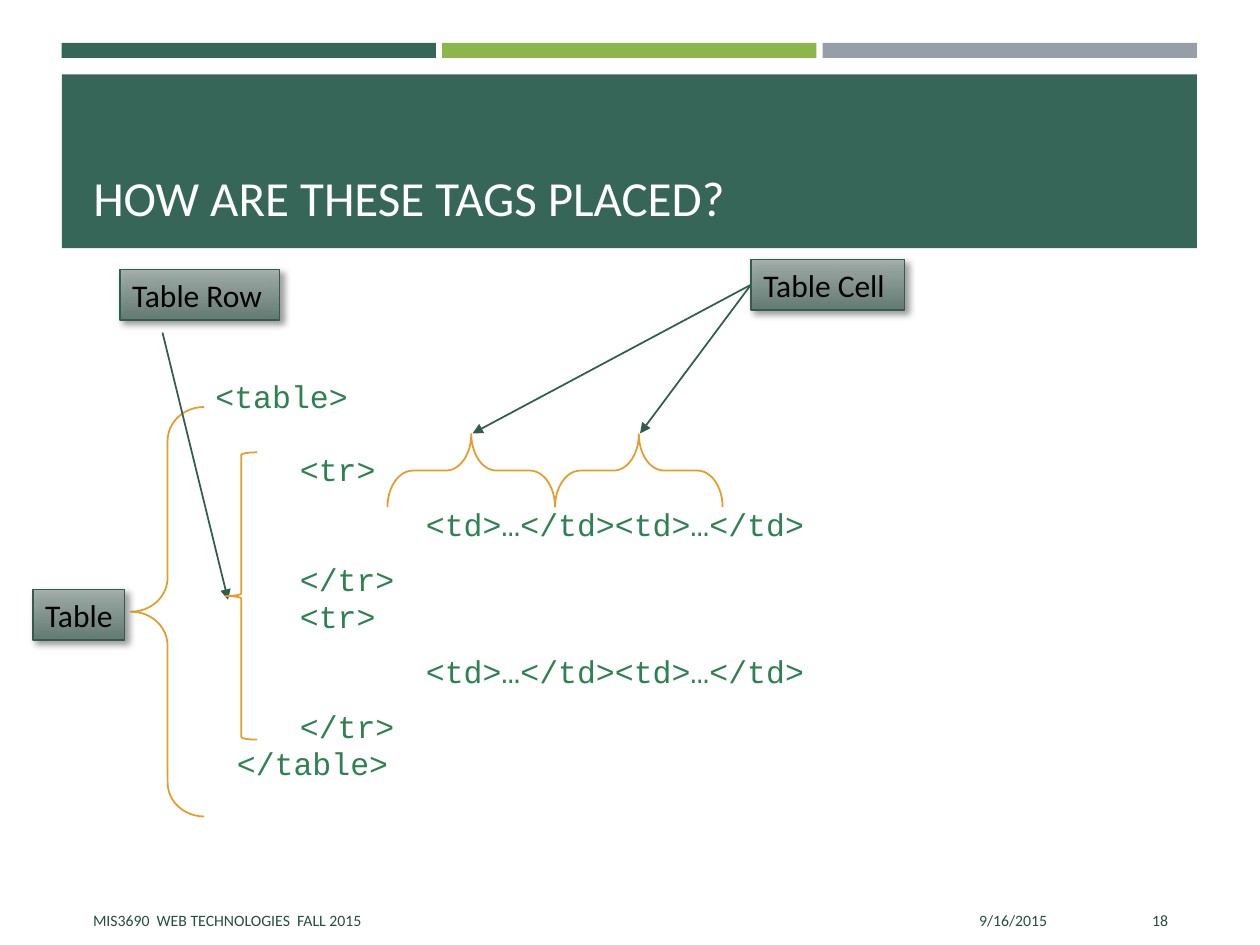
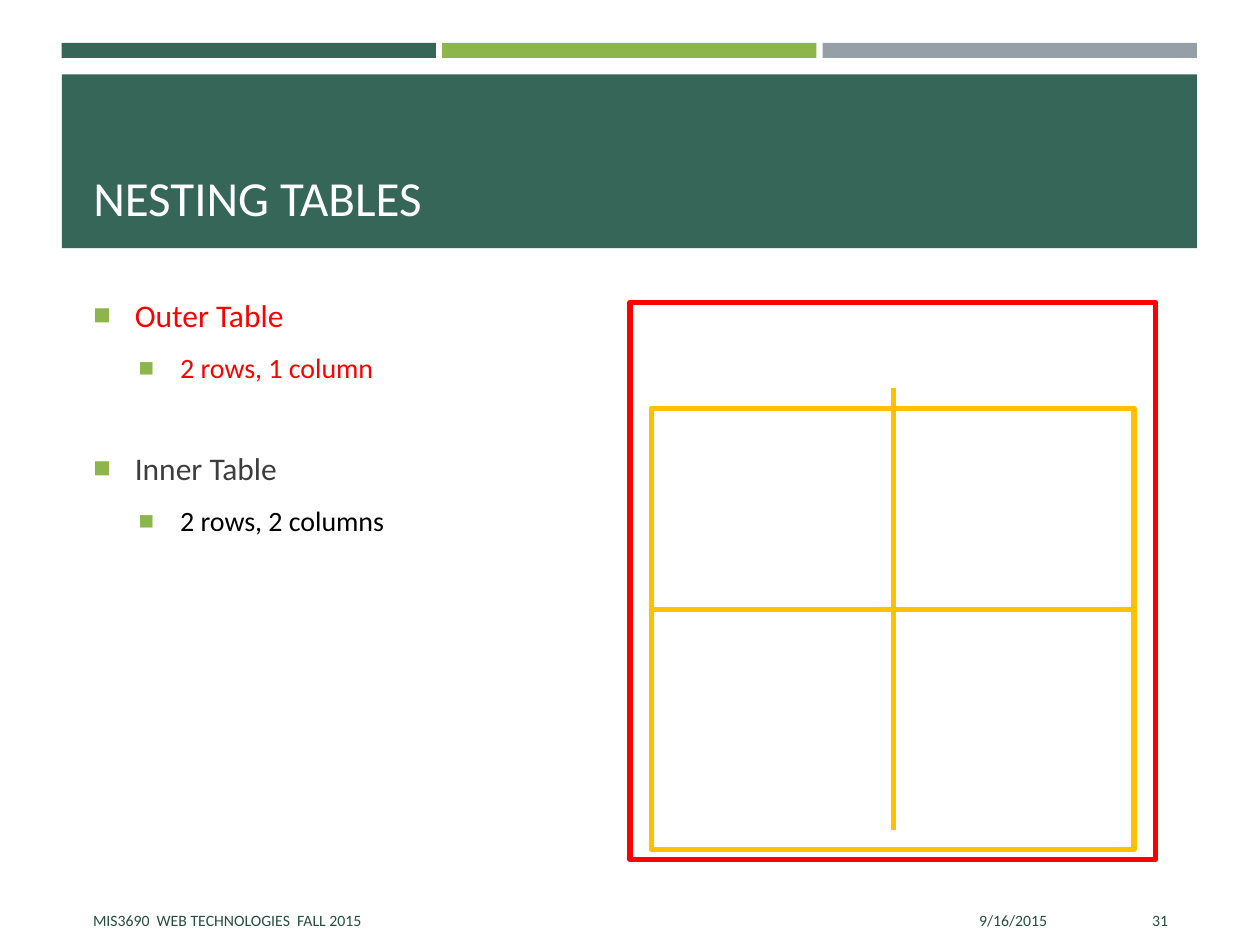
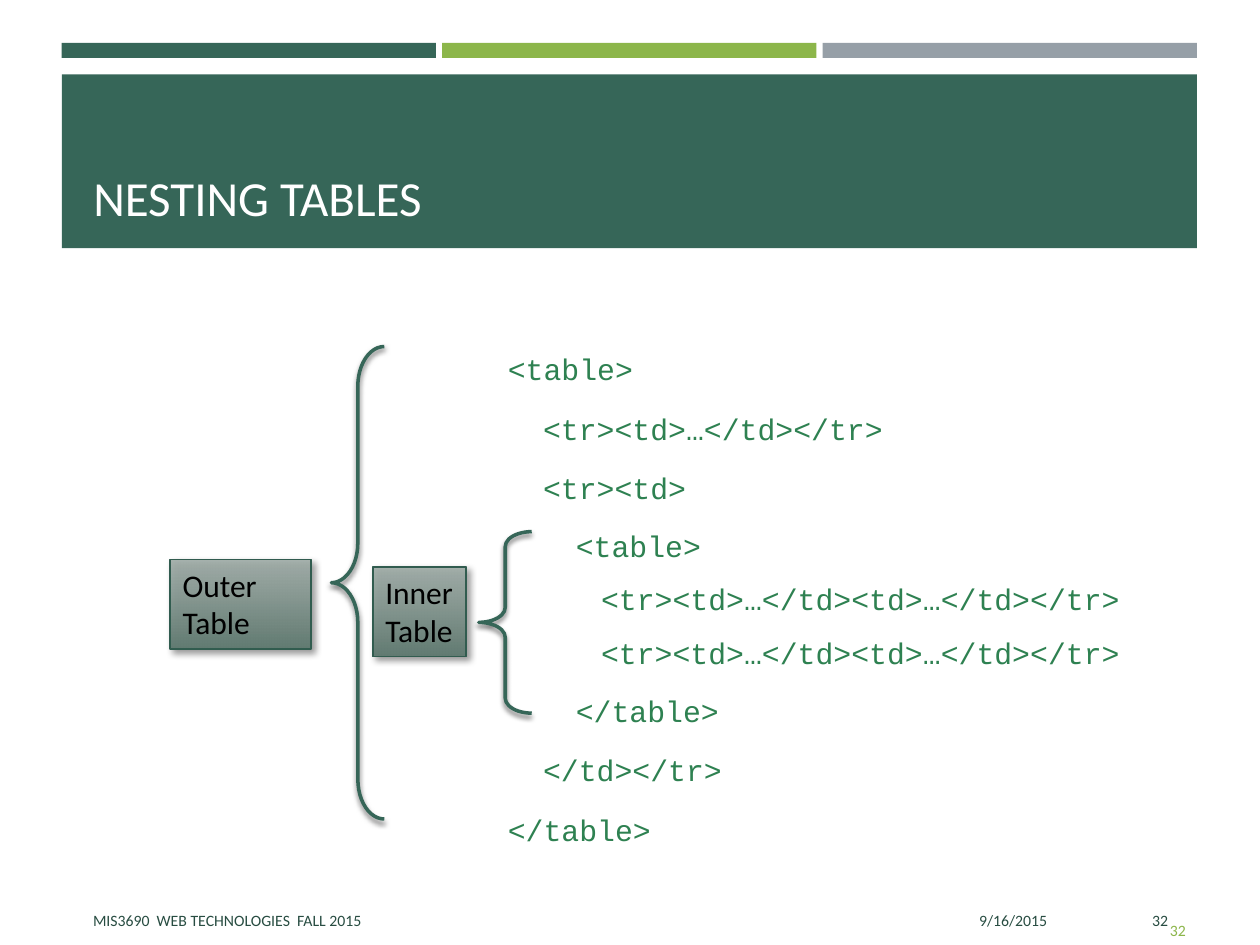
"""Builds three slides on HTML tables and nesting."""
from lxml import etree
from pptx import Presentation
from pptx.dml.color import RGBColor
from pptx.enum.shapes import MSO_CONNECTOR, MSO_SHAPE
from pptx.enum.text import MSO_ANCHOR, MSO_AUTO_SIZE, PP_ALIGN
from pptx.oxml.ns import qn
from pptx.util import Inches, Pt

RECT, BRACE = MSO_SHAPE.RECTANGLE, MSO_SHAPE.LEFT_BRACE
STRAIGHT = MSO_CONNECTOR.STRAIGHT
LEFT, RIGHT = PP_ALIGN.LEFT, PP_ALIGN.RIGHT
TOP, MIDDLE, BOTTOM = MSO_ANCHOR.TOP, MSO_ANCHOR.MIDDLE, MSO_ANCHOR.BOTTOM
NO_FIT = MSO_AUTO_SIZE.NONE
CONTENT_LAYOUT = 1

COLORS = {
    "green": "366658", "lime": "8CB64A", "gray": "969FA7", "white": "FFFFFF",
    "footer": "284D42", "text": "3D3D3D", "code": "2E8151", "black": "000000",
    "orange": "E59C29", "edge": "315C4F", "red": "FF0000", "gold": "FFC000",
    "label_top": "9FACA7", "label_bottom": "627B72",
}
LABEL_SHADOW = {"alpha": 40, "blur": 4, "dist": 3, "angle": 45}
BRACE_SHADOW = {"alpha": 55, "blur": 3, "dist": 2, "angle": 90}


def rgb(name):
    """Return the named colour."""
    return RGBColor.from_string(COLORS[name])


def add_xml(parent, tag, **attrs):
    """Append a drawing element with attributes."""
    return etree.SubElement(parent, qn(f"a:{tag}"), {k: str(v) for k, v in attrs.items()})


class Deck:
    """Holds the shared style and the current slide."""

    def __init__(self):
        """Start a 10 by 7.5 inch presentation."""
        self.prs = Presentation()
        self.prs.slide_width, self.prs.slide_height = Inches(10), Inches(7.5)
        self.s = None

    def slide(self, title, number):
        """Add a slide with its title and footer."""
        first = self.s is None
        self.s = self.prs.slides.add_slide(self.prs.slide_layouts[CONTENT_LAYOUT])
        if first:
            self.master_bands()
        sp = self.s.shapes.title
        tf = self.place(sp, (0.64, 0.67, 8.74, 1.18), BOTTOM)
        self.text(tf.paragraphs[0], title, 28, "white")
        self.note("9/16/2015", (6.08, 7.1, 2.33, 0.4), align=RIGHT)
        self.note("MIS3690  WEB TECHNOLOGIES  FALL 2015", (0.64, 7.1, 5.33, 0.4))
        self.note(number, (8.53, 7.1, 0.84, 0.4), align=RIGHT)

    def master_bands(self):
        """Put the three strips and the title band on the master."""
        width, gap = 2.97, 0.05
        bands = [((0.49 + i * (width + gap), 0.34, width, 0.12), color)
                 for i, color in enumerate(("green", "lime", "gray"))]
        bands.append(((0.49, 0.59, 9.01, 1.38), "green"))
        for i, (box, color) in enumerate(bands):
            sp = self.shape(RECT, box, fill=color)
            self.prs.slide_master.shapes.element.insert(2 + i, sp.element)

    def place(self, sp, box, anchor, wrap=True):
        """Move a shape and prepare its text frame."""
        sp.left, sp.top, sp.width, sp.height = map(Inches, box)
        tf = sp.text_frame
        values = {"word_wrap": wrap, "auto_size": NO_FIT, "vertical_anchor": anchor}
        for name, value in values.items():
            setattr(tf, name, value)
        return tf

    def text(self, p, words, size, color, font="Calibri", align=LEFT):
        """Add one formatted run to a paragraph."""
        p.alignment = align
        r = p.add_run()
        r.text = words
        for name, value in {"name": font, "size": Pt(size), "bold": False}.items():
            setattr(r.font, name, value)
        r.font.color.rgb = rgb(color)

    def note(self, words, box, color="footer", align=LEFT):
        """Add a small footer text."""
        tf = self.place(self.s.shapes.add_textbox(0, 0, 0, 0), box, MIDDLE)
        self.text(tf.paragraphs[0], words, 9, color, align=align)

    def paragraphs(self, tf, count):
        """Return the given number of paragraphs of a text frame."""
        return [tf.paragraphs[0]] + [tf.add_paragraph() for _ in range(count - 1)]

    def code(self, box, inset, size, lines):
        """Fill the body with code lines of (indent, space before, words)."""
        tf = self.place(self.s.placeholders[1], box, TOP)
        tf.margin_top = Inches(inset)
        for p, (indent, before, words) in zip(self.paragraphs(tf, len(lines)), lines):
            self.text(p, words, size, "code", "Courier New")
            p.line_spacing, p.space_before, p.space_after = Pt(20), Pt(before), Pt(0)
            pPr = p._p.get_or_add_pPr()
            pPr.set("marL", str(Inches(indent)))
            pPr.set("indent", "0")
            add_xml(pPr, "buNone")

    def bullets(self, box, items):
        """Fill the body with bullets of (level, space before, colour, words)."""
        tf = self.place(self.s.placeholders[1], box, TOP)
        for p, (level, before, color, words) in zip(self.paragraphs(tf, len(items)), items):
            self.text(p, words, 18 - 2 * level, color)
            p.level, p.space_before, p.space_after = level, Pt(before), Pt(6)
            pPr = p._p.get_or_add_pPr()
            pPr.set("marL", str(Inches(0.33 + 0.36 * level)))
            pPr.set("indent", str(Inches(-0.33)))
            add_xml(add_xml(pPr, "buClr"), "srgbClr", val=COLORS["lime"])
            add_xml(pPr, "buSzPct", val=92000)
            add_xml(pPr, "buChar", char="■")

    def shape(self, kind, box, fill=None, line=None, width=1):
        """Add a preset shape without shadow."""
        sp = self.s.shapes.add_shape(kind, *map(Inches, box))
        sp.shadow.inherit = False
        if fill:
            sp.fill.solid()
            sp.fill.fore_color.rgb = rgb(fill)
        else:
            sp.fill.background()
        if line:
            sp.line.color.rgb, sp.line.width = rgb(line), Pt(width)
        else:
            sp.line.fill.background()
        return sp

    def shadow(self, sp, alpha, blur, dist, angle):
        """Give a shape an outer shadow."""
        effects = sp.element.spPr.find(qn("a:effectLst"))
        outer = add_xml(effects, "outerShdw", blurRad=Pt(blur), dist=Pt(dist),
                        dir=angle * 60000, algn="tl", rotWithShape=0)
        add_xml(add_xml(outer, "srgbClr", val=COLORS["black"]), "alpha", val=alpha * 1000)

    def label(self, words, box, wrap=False):
        """Add a shaded label with a gradient."""
        sp = self.shape(RECT, box, line="edge")
        sp.fill.gradient()
        sp.fill.gradient_angle = 270
        for stop, position, color in zip(sp.fill.gradient_stops, (0, 1),
                                         ("label_top", "label_bottom")):
            stop.position, stop.color.rgb = position, rgb(color)
        add_xml(sp.element.spPr.find(".//" + qn("a:srgbClr")), "alpha", val=90000)
        self.shadow(sp, **LABEL_SHADOW)
        tf = self.place(sp, box, TOP, wrap)
        lines = words.split("\n")
        for p, line in zip(self.paragraphs(tf, len(lines)), lines):
            self.text(p, line, 18, "black")
        return sp

    def brace(self, box, curve=0.083, rotation=0, color="orange", width=1, shadow=None):
        """Add a left brace."""
        sp = self.shape(BRACE, box, line=color, width=width)
        sp.adjustments[0], sp.rotation = curve, rotation
        if shadow:
            self.shadow(sp, **shadow)

    def line(self, start, end, color, width, arrow=False, source=None):
        """Add a straight line, joined to the left of a source if given."""
        cx = self.s.shapes.add_connector(STRAIGHT, *map(Inches, start + end))
        if source is not None:
            cx.begin_connect(source, 1)
        cx.line.color.rgb, cx.line.width = rgb(color), Pt(width)
        if arrow:
            add_xml(cx.element.spPr.find(qn("a:ln")), "tailEnd", type="triangle")
        add_xml(cx.element.spPr, "effectLst")


def tag_placement(deck):
    """Build the slide on where table tags go."""
    deck.slide("HOW ARE THESE TAGS PLACED?", "18")
    cells = "<td>…</td><td>…</td>"
    deck.code((1.45, 2.89, 7.5, 4.33), 0.12, 18, [
        (0.16, 0, "<table>"),
        (0.83, 22, "<tr>"), (1.83, 11.5, cells), (0.83, 11.5, "</tr>"),
        (0.83, 1, "<tr>"), (1.83, 11.5, cells), (0.83, 11.5, "</tr>"),
        (0.33, 1, "</table>"),
    ])
    deck.brace((1.04, 3.23, 0.58, 3.25), 0.464)
    cell = deck.label("Table Cell", (5.96, 2.06, 1.22, 0.4))
    for left in (4.78, 3.45):
        deck.brace((left, 3.07, 0.58, 1.33), 0.345, 90)
        deck.line((5.96, 2.26), (left + 0.3, 3.44), "edge", 1, True, cell)
    deck.label("Table", (0.26, 4.68, 0.73, 0.4))
    deck.line((1.29, 2.64), (1.81, 4.76), "edge", 1, True)
    deck.label("Table Row", (0.95, 2.14, 1.27, 0.4))
    deck.brace((1.79, 3.59, 0.25, 2.28))


def nesting_diagram(deck):
    """Build the slide that draws a table within a table."""
    deck.slide("NESTING TABLES", "31")
    deck.bullets((0.64, 2.3, 8.74, 4.62), [
        (0, 0, "red", "Outer Table"), (1, 3.6, "red", "2 rows, 1 column"),
        (0, 31, "text", "Inner Table"), (1, 3.6, "black", "2 rows, 2 columns"),
    ])
    deck.shape(RECT, (5, 2.4, 4.17, 4.42), line="red", width=3)
    deck.shape(RECT, (5.17, 3.24, 3.83, 3.5), line="gold", width=3)
    deck.line((5.17, 4.84), (9, 4.84), "gold", 3)
    deck.line((7.09, 3.08), (7.09, 6.59), "gold", 3)


def nesting_code(deck):
    """Build the slide with the code of nested tables."""
    deck.slide("NESTING TABLES", "32")
    inner_row = "<tr><td>…</td><td>…</td></tr>"
    deck.code((3.55, 1.91, 5.75, 5), 0.88, 17, [
        (0.38, 0, "<table>"),
        (0.66, 14.3, "<tr><td>…</td></tr>"), (0.66, 13.7, "<tr><td>"),
        (0.92, 13.1, "<table>"),
        (1.12, 10.5, inner_row), (1.12, 10.5, inner_row),
        (0.92, 13.1, "</table>"),
        (0.66, 13.7, "</td></tr>"), (0.38, 14.3, "</table>"),
    ])
    deck.label("Outer Table", (1.35, 4.44, 1.12, 0.71), wrap=True)
    deck.label("Inner\nTable", (2.96, 4.5, 0.74, 0.71))
    for box, curve in (((3.8, 4.22, 0.42, 1.44), 0.283), ((2.63, 2.75, 0.42, 3.75), 0.75)):
        deck.brace(box, curve, color="green", width=2, shadow=BRACE_SHADOW)
    deck.note("32", (9.01, 7.18, 0.5, 0.4), "lime", RIGHT)


def main():
    """Build and save the deck."""
    deck = Deck()
    for build in (tag_placement, nesting_diagram, nesting_code):
        build(deck)
    deck.prs.save("out.pptx")


if __name__ == "__main__":
    main()
